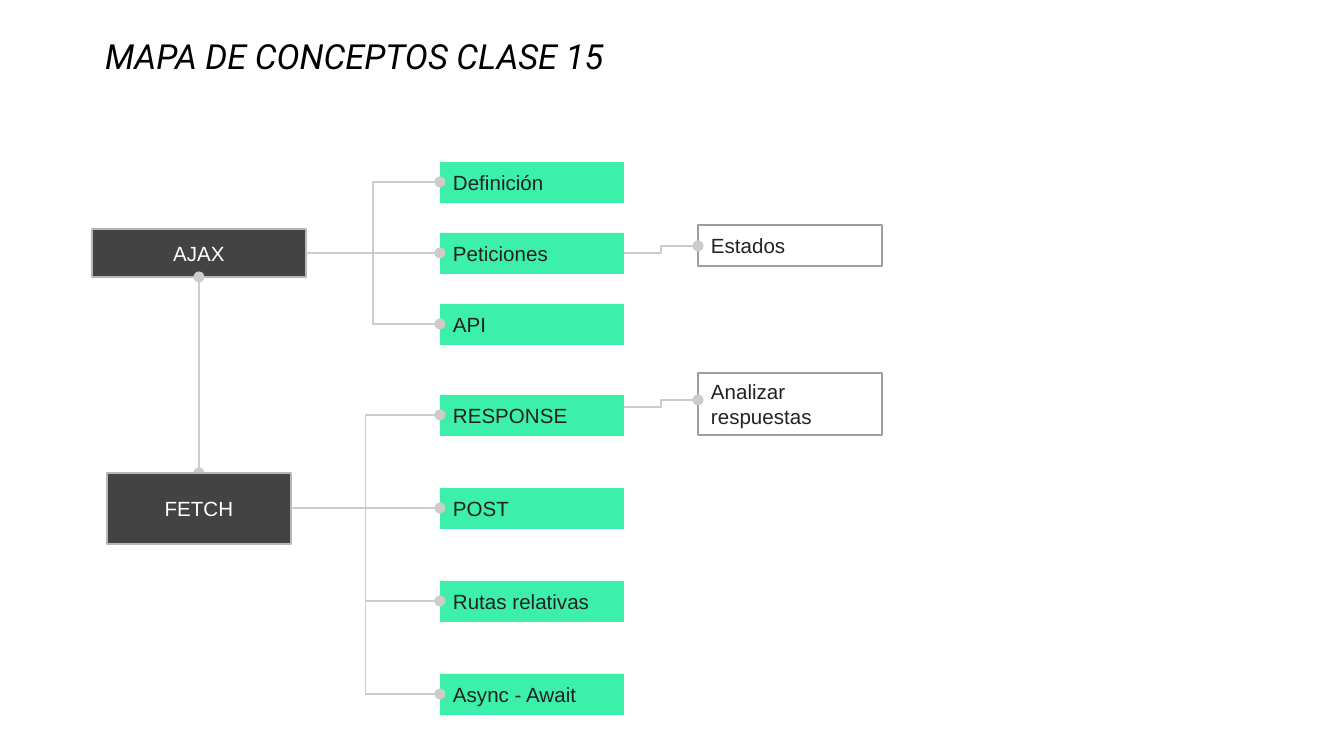
import pptx
import pptx.util
import pptx.dml.color
import pptx.enum.shapes
import pptx.enum.text
import pptx.oxml.ns
import lxml.etree

RGBColor = pptx.dml.color.RGBColor
BLACK = RGBColor(0x00, 0x00, 0x00)
WHITE = RGBColor(0xFF, 0xFF, 0xFF)
INK = RGBColor(0x22, 0x22, 0x22)
CHARCOAL = RGBColor(0x43, 0x43, 0x43)
GREEN = RGBColor(0x3C, 0xEF, 0xAB)
DARK_BORDER = RGBColor(0xB7, 0xB7, 0xB7)
DETAIL_BORDER = RGBColor(0x9E, 0x9E, 0x9E)
LINK_GRAY = RGBColor(0xCC, 0xCC, 0xCC)

ALIGN = pptx.enum.text.PP_ALIGN
ANCHOR = pptx.enum.text.MSO_ANCHOR
CONNECTOR = pptx.enum.shapes.MSO_CONNECTOR

PIXELS_PER_INCH = 134.4
INSET = 13
TOPIC_LEFT, DETAIL_LEFT = 440, 698
BOX_WIDTH, BOX_HEIGHT = 184, 41
TOPIC_RIGHT = TOPIC_LEFT + BOX_WIDTH


def px(length):
    return pptx.util.Inches(length / PIXELS_PER_INCH)


def write_text(shape, text, *, size=11, font="Arial", color=INK, italic=False,
               align=ALIGN.LEFT, anchor=ANCHOR.MIDDLE, spacing=1.0):
    frame = shape.text_frame
    frame.word_wrap = True
    frame.auto_size = pptx.enum.text.MSO_AUTO_SIZE.NONE
    frame.vertical_anchor = anchor
    frame.margin_left = frame.margin_right = px(INSET)
    frame.margin_top = frame.margin_bottom = px(INSET)
    paragraph = frame.paragraphs[0]
    paragraph.alignment = align
    paragraph.line_spacing = spacing
    run = paragraph.add_run()
    run.text = text
    run.font.name = font
    run.font.size = pptx.util.Pt(size)
    run.font.italic = italic
    run.font.color.rgb = color


def add_title(slide, text):
    title = slide.shapes.title
    title.left, title.top, title.width, title.height = px(92), px(30), px(1044), px(62)
    write_text(title, text, size=18.5, font="Roboto", color=BLACK, italic=True,
               anchor=ANCHOR.TOP, spacing=0.8)


def add_box(slide, text, left, top, width=BOX_WIDTH, height=BOX_HEIGHT, *,
            fill=GREEN, border=None, **text_format):
    box = slide.shapes.add_shape(pptx.enum.shapes.MSO_SHAPE.RECTANGLE,
                                 px(left), px(top), px(width), px(height))
    box.shadow.inherit = False
    box.fill.solid()
    box.fill.fore_color.rgb = fill
    if border is None:
        box.line.fill.background()
    else:
        box.line.color.rgb = border
        box.line.width = pptx.util.Pt(0.75)
    write_text(box, text, **text_format)


def add_main_box(slide, text, *bounds):
    add_box(slide, text, *bounds, fill=CHARCOAL, border=DARK_BORDER,
            color=WHITE, align=ALIGN.CENTER)


def add_link(slide, start, end, kind=CONNECTOR.ELBOW, ends=("tailEnd",)):
    link = slide.shapes.add_connector(kind, *map(px, start + end))
    link.line.color.rgb = LINK_GRAY
    link.line.width = pptx.util.Pt(0.75)
    outline = link.line._get_or_add_ln()
    for end_name in ends:
        lxml.etree.SubElement(outline, pptx.oxml.ns.qn("a:" + end_name), type="oval")
    lxml.etree.SubElement(link._element.spPr, pptx.oxml.ns.qn("a:effectLst"))


def add_branch(slide, start, topics, top, step):
    for row, topic in enumerate(topics):
        topic_top = top + row * step
        add_box(slide, topic, TOPIC_LEFT, topic_top)
        add_link(slide, start, (TOPIC_LEFT, topic_top + BOX_HEIGHT // 2))


def add_detail(slide, text, top, height, link_top):
    add_box(slide, text, DETAIL_LEFT, top, BOX_WIDTH, height,
            fill=WHITE, border=DETAIL_BORDER)
    add_link(slide, (TOPIC_RIGHT, link_top + 7), (DETAIL_LEFT, link_top))


def main():
    presentation = pptx.Presentation()
    presentation.slide_width, presentation.slide_height = px(1344), px(756)
    slide = presentation.slides.add_slide(presentation.slide_layouts[5])
    add_title(slide, "MAPA DE CONCEPTOS CLASE 15")

    add_main_box(slide, "AJAX", 92, 229, 214, 48)
    add_link(slide, (199, 473), (199, 277), CONNECTOR.STRAIGHT, ("headEnd", "tailEnd"))
    add_main_box(slide, "FETCH", 107, 473, BOX_WIDTH, 71)

    add_branch(slide, (306, 253), ["Definición", "Peticiones", "API"], 162, 71)
    add_branch(slide, (291, 508),
               ["RESPONSE", "POST", "Rutas relativas", "Async - Await"], 395, 93)

    add_detail(slide, "Estados", 225, BOX_HEIGHT, 246)
    add_detail(slide, "Analizar respuestas", 373, 62, 400)

    presentation.save("out.pptx")


if __name__ == "__main__":
    main()
